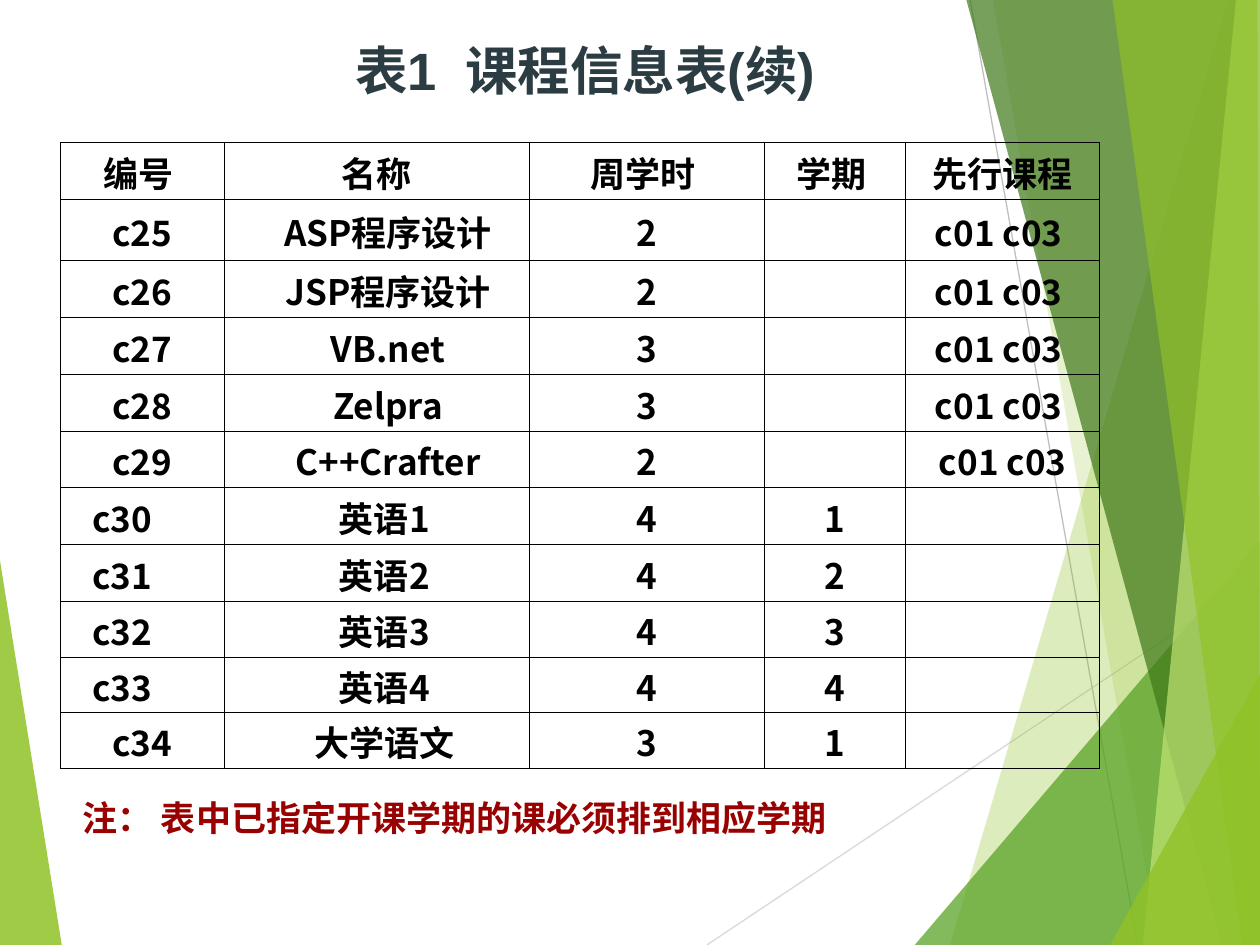
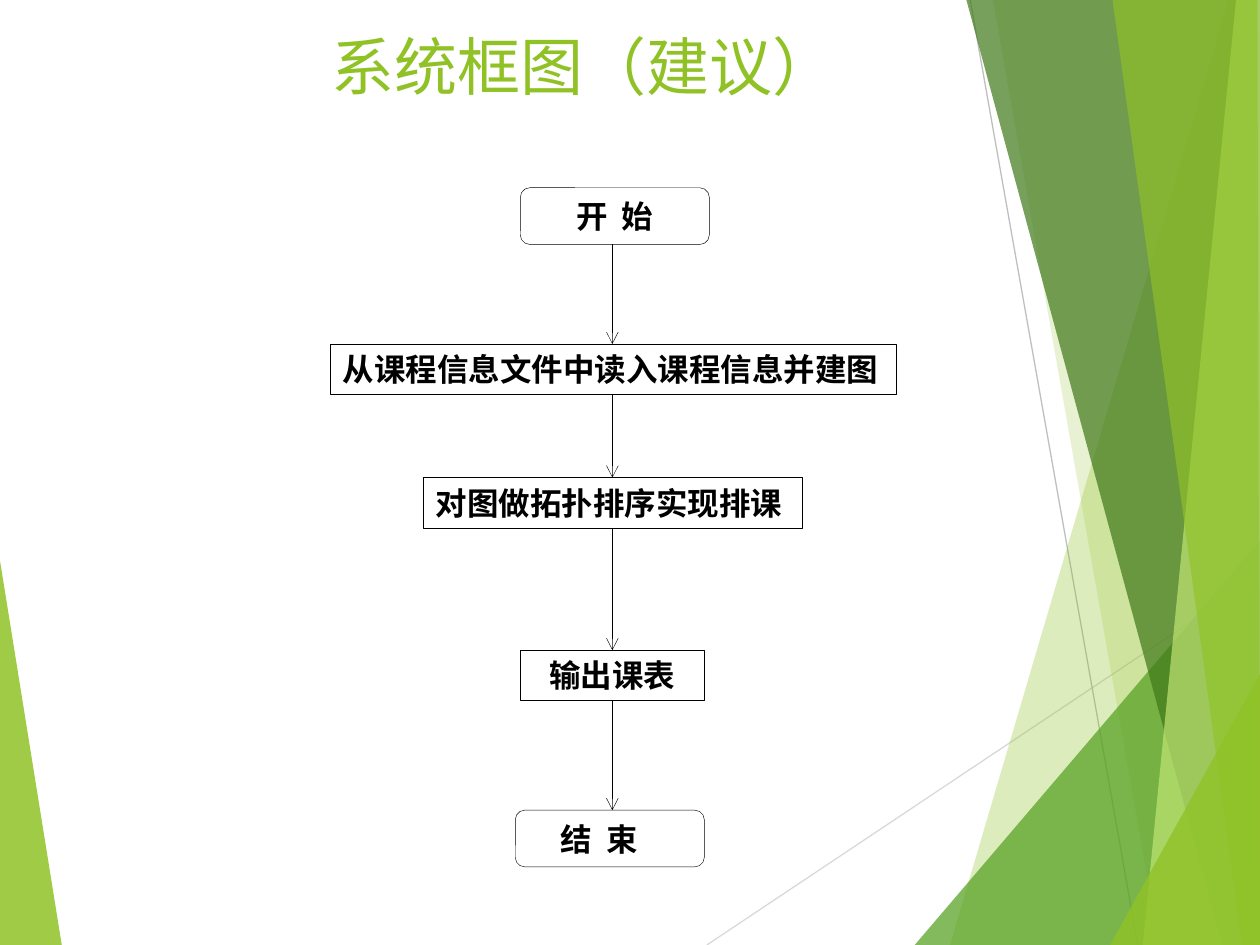
"""Two slides on course scheduling: a course table and a flow chart."""
from lxml import etree
from pptx import Presentation
from pptx import util as u
from pptx.dml.color import RGBColor
from pptx.enum import shapes, text
from pptx.oxml.ns import qn

BLACK = RGBColor(0x00, 0x00, 0x00)
SLATE = RGBColor(0x2C, 0x3C, 0x43)
RED = RGBColor(0x99, 0x00, 0x00)
LIME = RGBColor(0x90, 0xC2, 0x26)
GREEN = RGBColor(0x54, 0xA0, 0x21)
DARK = RGBColor(0x3F, 0x78, 0x19)
PALE = RGBColor(0xC0, 0xE4, 0x74)
GRAY = RGBColor(0xBF, 0xBF, 0xBF)
LIGHT = RGBColor(0xD9, 0xD9, 0xD9)

CJK = "Noto Sans CJK SC"
LEFT, CENTER = text.PP_ALIGN.LEFT, text.PP_ALIGN.CENTER
TOP, MIDDLE, BOTTOM = (text.MSO_ANCHOR.TOP, text.MSO_ANCHOR.MIDDLE,
                       text.MSO_ANCHOR.BOTTOM)

RAYS = [
    ((5.61, 7.5), (10, 4.57), LIGHT),
    ((7.7, 0), (9.03, 7.5), GRAY),
]
FACETS = [
    (LIME, 30, [(9.75, 0), (7.54, 7.5), (10, 7.5), (10, 0)]),
    (LIME, 20, [(7.88, 0), (9.2, 7.5), (10, 7.5), (10, 0)]),
    (GREEN, 72, [(7.26, 7.5), (10, 4.29), (10, 7.5)]),
    (DARK, 70, [(7.67, 0), (9.7, 7.5), (10, 7.5), (10, 0)]),
    (PALE, 70, [(9.81, 0), (9.07, 7.5), (10, 7.5), (10, 0)]),
    (LIME, 65, [(8.83, 0), (9.86, 7.5), (10, 7.5), (9.98, 0)]),
    (LIME, 80, [(8.81, 7.5), (10, 5.35), (10, 7.5)]),
]
WEDGE = (LIME, 85, [(0, 4.45), (0.49, 7.5), (0, 7.5)])

PRIOR = "c01 c03 "
HEADS = ["编号 ", "名称", "周学时 ", "学期 ", "先行课程"]
COURSES = [
    ("c25", "ASP程序设计", "2", "", PRIOR),
    ("c26", "JSP程序设计", "2", "", PRIOR),
    ("c27", "VB.net", "3", "", PRIOR),
    ("c28", "Zelpra", "3", "", PRIOR),
    ("c29", "C++Crafter", "2", "", "c01 c03"),
    *[(f"c{29 + n}", f"英语{n}", "4", str(n), "") for n in range(1, 5)],
    ("c34", "大学语文", "3", "1", ""),
]
WIDTHS = [1.3, 2.42, 1.87, 1.12, 1.54]
HEIGHTS = [0.45, 0.49] + [0.45] * 7 + [0.43, 0.45]

ROUND = shapes.MSO_SHAPE.ROUNDED_RECTANGLE
STEP = shapes.MSO_SHAPE.FLOWCHART_PROCESS
STEPS = [
    (ROUND, "开 始", (1.51, 0, 1.5, 0.45), dict(align=CENTER, gap=4)),
    (STEP, "从课程信息文件中读入课程信息并建图", (0, 1.24, 4.49, 0.4), {}),
    (STEP, "对图做拓扑排序实现排课", (0.74, 2.3, 3.01, 0.4), {}),
    (STEP, "输出课表", (1.51, 3.67, 1.46, 0.4), dict(align=CENTER)),
    (ROUND, "结 束", (1.47, 4.94, 1.5, 0.45), dict(gap=4, left=0.34)),
]


def write(frame, words, size=18, font="Arial", color=BLACK, bold=True,
          align=LEFT, gap=0):
    """Write one formatted paragraph; gap widens its spaces, in points."""
    para = frame.paragraphs[0]
    para.alignment = align
    for part in words.replace(" ", "\n \n").split("\n") if gap else [words]:
        run = para.add_run()
        run.text = part
        run.font.size = u.Pt(size)
        run.font.name = font
        run.font.bold = bold
        run.font.color.rgb = color
        props = run.font._element
        if part == " ":
            props.set("spc", str(gap * 100))
        east = etree.Element(qn("a:ea"), typeface=CJK)
        props.find(qn("a:latin")).addnext(east)


def inset(item, left=0.1, top=0.0, right=0.1):
    """Set the inner margins of a cell or text frame."""
    item.margin_left, item.margin_right = u.Inches(left), u.Inches(right)
    item.margin_top, item.margin_bottom = u.Inches(top), 0


def link(slide, start, end, color, width, arrow=False):
    """Draw a straight line, with an arrowhead at its end if asked."""
    ends = [u.Inches(v) for v in (*start, *end)]
    line = slide.shapes.add_connector(shapes.MSO_CONNECTOR.STRAIGHT, *ends)
    line.line.color.rgb = color
    line.line.width = u.Pt(width)
    if arrow:
        etree.SubElement(line.line._get_or_add_ln(), qn("a:tailEnd"),
                         type="arrow")
    etree.SubElement(line.element.spPr, qn("a:effectLst"))
    return line


def facet(slide, color, alpha, points):
    """Draw a see-through polygon."""
    first, *rest = [(u.Inches(x), u.Inches(y)) for x, y in points]
    build = slide.shapes.build_freeform(*first)
    build.add_line_segments(rest)
    shape = build.convert_to_shape()
    shape.shadow.inherit = False
    shape.fill.solid()
    shape.fill.fore_color.rgb = color
    shape.line.fill.background()
    tint = shape.element.spPr.find(".//" + qn("a:srgbClr"))
    etree.SubElement(tint, qn("a:alpha"), val=str(alpha * 1000))
    return shape


def adorn(slide):
    """Draw the facets and move them to the layout the slides share."""
    parts = [facet(slide, *WEDGE)]
    parts += [link(slide, *ray, 0.75) for ray in RAYS]
    parts += [facet(slide, *plane) for plane in FACETS]
    tree = slide.slide_layout.shapes.element
    for spot, part in enumerate(parts, 2):
        tree.insert(spot, part.element)


def head(slide, words, box, anchor, **form):
    """Fill and place the title."""
    title = slide.shapes.title
    title.left, title.top, title.width, title.height = map(u.Inches, box)
    frame = title.text_frame
    frame.auto_size = text.MSO_AUTO_SIZE.NONE
    frame.vertical_anchor = anchor
    inset(frame, top=0.05)
    write(frame, words, align=CENTER, **form)


def edge(cell):
    """Give a cell thin black borders and no fill."""
    cell.fill.background()
    props = cell._tc.get_or_add_tcPr()
    for spot, side in enumerate(("lnL", "lnR", "lnT", "lnB")):
        line = etree.Element(qn("a:" + side), w=str(u.Pt(0.45)))
        fill = etree.SubElement(line, qn("a:solidFill"))
        etree.SubElement(fill, qn("a:srgbClr"), val=str(BLACK))
        props.insert(spot, line)


def grid(slide, left, top):
    """Draw the course table from its top left corner."""
    rows = [HEADS, *COURSES]
    size = (left, top, sum(WIDTHS), sum(HEIGHTS))
    table = slide.shapes.add_table(len(rows), len(HEADS),
                                   *map(u.Inches, size)).table
    table.first_row = table.horz_banding = False
    for col, width in zip(table.columns, WIDTHS):
        col.width = u.Inches(width)
    for r, row in enumerate(rows):
        table.rows[r].height = u.Inches(HEIGHTS[r])
        for c, words in enumerate(row):
            cell = table.cell(r, c)
            edge(cell)
            cell.vertical_anchor = MIDDLE
            lead = 0.28 if r < 6 else 0.22
            inset(cell, left=lead if r and c == 1 else 0.1, top=0.02,
                  right=0.42 if c == 0 and 6 <= r <= 9 else 0.1)
            if words:
                write(cell.text_frame, words, size=20, font=CJK, align=CENTER)


def note(slide, words, box):
    """Write the remark under the table."""
    frame = slide.shapes.add_textbox(*map(u.Inches, box)).text_frame
    frame.word_wrap = False
    inset(frame, top=0.02)
    write(frame, words, size=20, font=CJK, color=RED)


def step(slide, kind, words, box, left=0.1, **form):
    """Draw one outlined box of the flow chart."""
    shape = slide.shapes.add_shape(kind, *map(u.Inches, box))
    shape.shadow.inherit = False
    shape.fill.background()
    shape.line.color.rgb = BLACK
    shape.line.width = u.Pt(0.25)
    frame = shape.text_frame
    frame.word_wrap = True
    frame.vertical_anchor = MIDDLE
    inset(frame, left=left)
    write(frame, words, **form)


def flow(slide, left, top):
    """Draw the steps and join each to the next along one axis."""
    axis = left + 2.24
    last = None
    for kind, words, (x, y, wide, high), form in STEPS:
        step(slide, kind, words, (left + x, top + y, wide, high), **form)
        if last is not None:
            link(slide, (axis, last), (axis, top + y), BLACK, 0.25, arrow=True)
        last = top + y + high


def main():
    """Build and save both slides."""
    deck = Presentation()
    deck.slide_width, deck.slide_height = u.Inches(10), u.Inches(7.5)
    layout = deck.slide_layouts[5]

    course = deck.slides.add_slide(layout)
    adorn(course)
    grid(course, 0.48, 1.13)
    head(course, "表1 课程信息表(续)", (0.56, 0.2, 8.17, 0.6), BOTTOM,
         size=30, color=SLATE, gap=8)
    note(course, "注： 表中已指定开课学期的课必须排到相应学期",
         (0.56, 6.3, 6.11, 0.44))

    chart = deck.slides.add_slide(layout)
    head(chart, "系统框图（建议）", (0.51, 0.17, 8.25, 0.87), TOP,
         size=36, font="Roboto", color=LIME, bold=False)
    flow(chart, 2.62, 1.49)

    deck.save("out.pptx")


if __name__ == "__main__":
    main()
